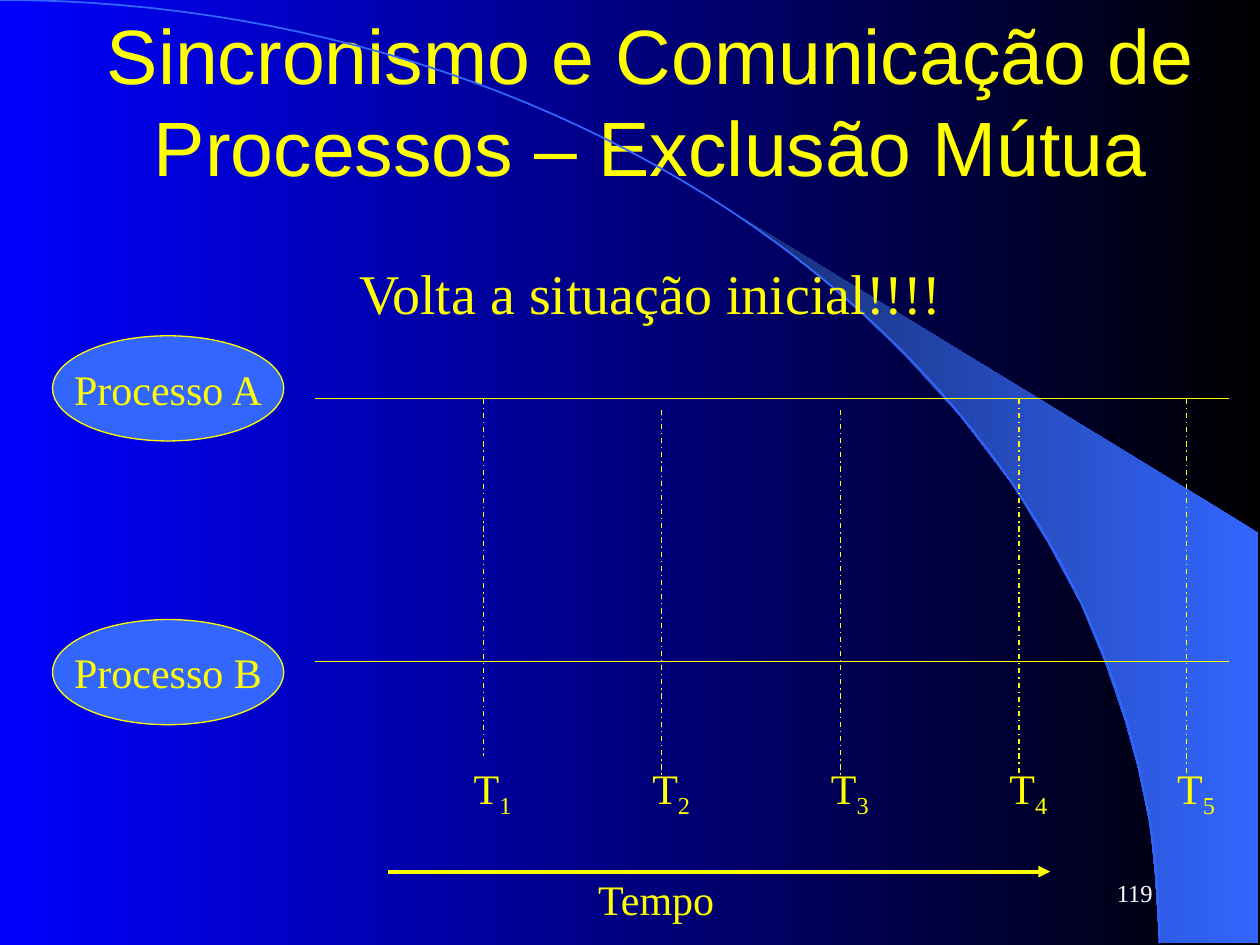
import math

from lxml import etree
from pptx import Presentation
from pptx.dml.color import RGBColor
from pptx.enum.dml import MSO_LINE
from pptx.enum.shapes import MSO_CONNECTOR, MSO_SHAPE
from pptx.enum.text import MSO_ANCHOR, MSO_AUTO_SIZE, PP_ALIGN
from pptx.oxml.ns import qn
from pptx.util import Cm, Pt

STRAIGHT = MSO_CONNECTOR.STRAIGHT
ELLIPSE = MSO_SHAPE.OVAL
DASH_DOT = MSO_LINE.DASH_DOT
LEFT, CENTER, RIGHT = PP_ALIGN.LEFT, PP_ALIGN.CENTER, PP_ALIGN.RIGHT
TOP, MIDDLE = MSO_ANCHOR.TOP, MSO_ANCHOR.MIDDLE
NO_AUTOFIT = MSO_AUTO_SIZE.NONE

YELLOW, BLUE, WHITE = "FFFF00", "3366FF", "FFFFFF"
SERIF, SANS = "Times New Roman", "Arial"

# Timeline geometry, in centimetres
LINE_START, LINE_END = 6.35, 24.77
LINE_A, LINE_B = 8.04, 13.34
FIRST_TIME, TIME_STEP = 9.74, 3.6
LAST_TIME = 23.92

# Sail between the arc and the right edge, in centimetres
SAIL = [
    (23.37, 19.0), (25.37, 19.02), (25.37, 10.74), (14.96, 4.39),
    (15.85, 5.05), (16.59, 5.64), (17.4, 6.35), (18.19, 7.11),
    (19.35, 8.38), (20.4, 9.75), (21.13, 10.95), (21.79, 12.17),
    (22.3, 13.41), (22.68, 14.53), (22.94, 15.47), (23.19, 16.66),
    (23.29, 17.68),
]
ARC_WIDTH, ARC_HEIGHT, ARC_STEPS = 23.37, 19.02, 60


def color(value):
    return RGBColor.from_string(value)


def fill_gradient(fill, start, end):
    """Run a linear gradient from right to left."""
    fill.gradient()
    fill.gradient_angle = 180
    for stop, value in zip(fill.gradient_stops, (start, end)):
        stop.color.rgb = color(value)


def add_outline(slide, points, closed):
    points = [(Cm(x), Cm(y)) for x, y in points]
    builder = slide.shapes.build_freeform(*points[0])
    builder.add_line_segments(points[1:], close=closed)
    shape = builder.convert_to_shape()
    shape.shadow.inherit = False
    return shape


def add_backdrop(slide):
    fill_gradient(slide.background.fill, "000000", "0000FF")

    sail = add_outline(slide, SAIL, True)
    fill_gradient(sail.fill, BLUE, "172F75")
    sail.line.fill.background()

    angles = [math.pi / 2 * step / ARC_STEPS for step in range(ARC_STEPS + 1)]
    arc = add_outline(slide, [(ARC_WIDTH * math.sin(angle),
                               ARC_HEIGHT * (1 - math.cos(angle)))
                              for angle in angles], False)
    arc.fill.background()
    arc.line.color.rgb = color(BLUE)
    arc.line.width = Pt(1)


def set_text(shape, text, size, font=SERIF, text_color=YELLOW,
             align=LEFT, anchor=TOP, wrap=False):
    frame = shape.text_frame
    frame.text = text
    frame.word_wrap = wrap
    frame.auto_size = NO_AUTOFIT
    frame.vertical_anchor = anchor
    paragraph = frame.paragraphs[0]
    paragraph.alignment = align
    paragraph.font.size = Pt(size)
    paragraph.font.name = font
    paragraph.font.color.rgb = color(text_color)
    return paragraph


def add_label(slide, box, text, size=24, **style):
    shape = slide.shapes.add_textbox(*map(Cm, box))
    return set_text(shape, text, size, **style)


def add_title(slide, text):
    title = slide.shapes.title
    title.left, title.top, title.width, title.height = map(
        Cm, (1.69, 0.42, 22.86, 3.18))
    set_text(title, text, 44, SANS, align=CENTER, anchor=MIDDLE, wrap=True)


def add_process(slide, top, name):
    shape = slide.shapes.add_shape(ELLIPSE, *map(Cm, (1.06, top, 4.66, 2.12)))
    shape.shadow.inherit = False
    shape.fill.solid()
    shape.fill.fore_color.rgb = color(BLUE)
    shape.line.color.rgb = color(YELLOW)
    shape.line.width = Pt(0.75)
    set_text(shape, name, 24, align=CENTER, anchor=MIDDLE)


def add_line(slide, start, end, width=0.75, dash=None, arrow=False):
    connector = slide.shapes.add_connector(STRAIGHT, *map(Cm, start + end))
    connector.line.color.rgb = color(YELLOW)
    connector.line.width = Pt(width)
    if dash:
        connector.line.dash_style = dash
    properties = connector._element.spPr
    if arrow:
        etree.SubElement(properties.find(qn("a:ln")), qn("a:tailEnd"),
                         type="triangle")
    etree.SubElement(properties, qn("a:effectLst"))


def add_time_mark(slide, number, x, top, bottom):
    add_line(slide, (x, top), (x, bottom), dash=DASH_DOT)
    paragraph = add_label(slide, (x - 0.44, 15.24, 1.27, 1.42), "T")
    subscript = paragraph.add_run()
    subscript.text = str(number)
    subscript.font._element.set("baseline", "-25000")


def main():
    presentation = Presentation()
    presentation.slide_width, presentation.slide_height = Cm(25.4), Cm(19.05)
    slide = presentation.slides.add_slide(presentation.slide_layouts[5])

    add_backdrop(slide)
    add_title(slide, "Sincronismo e Comunicação de Processos – Exclusão Mútua")
    add_label(slide, (6.99, 5.08, 12.4, 1.63),
              "Volta a situação inicial!!!!", 32)

    # Processes and their timelines
    add_process(slide, 6.77, "Processo A")
    add_process(slide, 12.49, "Processo B")
    times = [FIRST_TIME + TIME_STEP * index for index in range(4)] + [LAST_TIME]
    add_line(slide, (LINE_START, LINE_A), (LINE_END, LINE_A))
    stops = [LINE_START, times[1], times[2], LINE_END]
    for start, end, width in zip(stops, stops[1:], (0.75, 0.5, 0.75)):
        add_line(slide, (start, LINE_B), (end, LINE_B), width)

    # Instants T1 to T5
    for number, x in enumerate(times, 1):
        top = 8.26 if number in (2, 3) else LINE_A
        bottom = 15.24 if number == 1 else 15.66
        add_time_mark(slide, number, x, top, bottom)

    # Time axis and slide number
    add_line(slide, (7.83, 17.57), (21.17, 17.57), 2.25, arrow=True)
    add_label(slide, (11.81, 17.48, 2.9, 1.27), "Tempo")
    add_label(slide, (18.2, 17.36, 5.29, 1.27), "119", 14, text_color=WHITE,
              align=RIGHT, anchor=MIDDLE, wrap=True)

    presentation.save("out.pptx")


if __name__ == "__main__":
    main()
